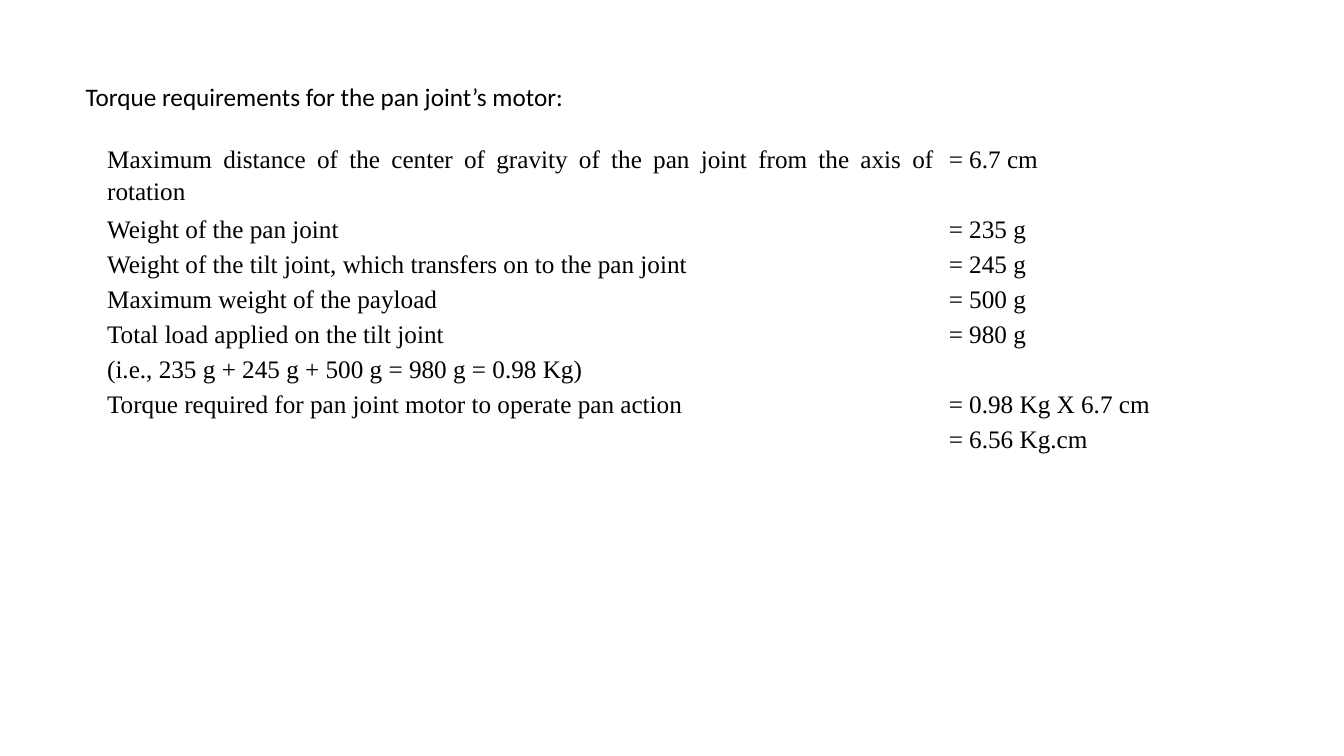
from pptx import Presentation
from pptx import util as u
from pptx.dml import color
from pptx.enum import text


def rgb(value):
    return color.RGBColor.from_string(value)


class TorqueSlide:
    ink = "000000"
    size = u.Pt(18)
    heading_font = "Calibri"
    table_font = "Times New Roman"

    def __init__(self, slide):
        self.slide = slide

    def style(self, paragraph, font_name):
        paragraph.font.name = font_name
        paragraph.font.size = self.size
        paragraph.font.color.rgb = rgb(self.ink)

    def heading(self, words, left, top, width, height):
        box = self.slide.shapes.add_textbox(u.Cm(left), u.Cm(top), u.Cm(width), u.Cm(height))
        frame = box.text_frame
        frame.word_wrap = True
        frame.auto_size = text.MSO_AUTO_SIZE.SHAPE_TO_FIT_TEXT
        frame.text = words
        self.style(frame.paragraphs[0], self.heading_font)

    def cell(self, cell, words):
        cell.fill.background()
        cell.margin_left = cell.margin_right = u.Cm(0.18)
        cell.margin_top = cell.margin_bottom = 0
        if not words:
            return
        cell.text = words
        paragraph = cell.text_frame.paragraphs[0]
        paragraph.alignment = text.PP_ALIGN.JUSTIFY
        paragraph.line_spacing = 1.15
        self.style(paragraph, self.table_font)

    def table(self, rows, left, top, widths, line_height):
        frame = self.slide.shapes.add_table(
            len(rows), len(widths), u.Cm(left), u.Cm(top),
            u.Cm(sum(widths)), u.Cm(line_height * (len(rows) + 1)))
        table = frame.table
        table.first_row = table.horz_banding = False
        for column, width in zip(table.columns, widths):
            column.width = u.Cm(width)
        for index, row in enumerate(rows):
            # The first row holds two lines
            table.rows[index].height = u.Cm(line_height * (2 if index == 0 else 1))
            for column, words in enumerate(row):
                self.cell(table.cell(index, column), words)


TORQUE_ROWS = [
    ("Maximum distance of the center of gravity of the pan joint from the axis of rotation",
     "= 6.7 cm"),
    ("Weight of the pan joint", "= 235 g"),
    ("Weight of the tilt joint, which transfers on to the pan joint", "= 245 g"),
    ("Maximum weight of the payload", "= 500 g"),
    ("Total load applied on the tilt joint", "= 980 g"),
    ("(i.e., 235 g + 245 g + 500 g = 980 g = 0.98 Kg)", ""),
    ("Torque required for pan joint motor to operate pan action", "= 0.98 Kg X 6.7 cm"),
    ("", "= 6.56 Kg.cm"),
]


def main():
    presentation = Presentation()
    presentation.slide_width = u.Cm(33.87)
    presentation.slide_height = u.Cm(19.05)
    page = TorqueSlide(presentation.slides.add_slide(presentation.slide_layouts[6]))

    # Heading
    page.heading("Torque requirements for the pan joint’s motor:", 1.91, 1.93, 29.74, 1.03)

    # Quantities and their values
    page.table(TORQUE_ROWS, 2.52, 3.58, (21.21, 7.57), 0.88)

    presentation.save("out.pptx")


if __name__ == "__main__":
    main()
